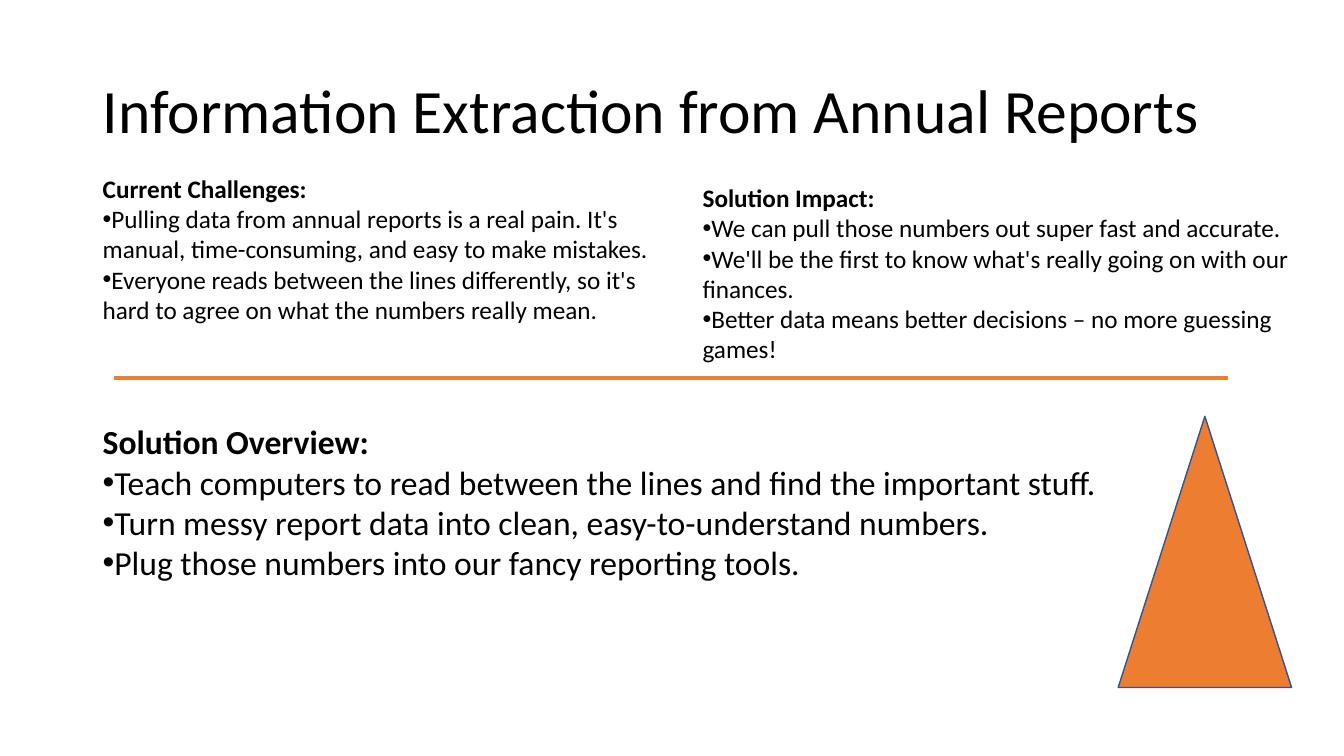
from dataclasses import dataclass

from lxml.etree import SubElement
from pptx import Presentation
from pptx.dml.color import RGBColor
from pptx.enum.shapes import MSO_CONNECTOR as Link, MSO_SHAPE as Shape
from pptx.enum.text import MSO_ANCHOR as Anchor, MSO_AUTO_SIZE as Fit
from pptx.oxml.ns import qn
from pptx.slide import Slide
from pptx.text.text import TextFrame
from pptx.util import Inches, Length, Pt

FONT = "Calibri"
BLACK = "000000"
ORANGE = "ED7D31"
NAVY = "325491"


@dataclass(frozen=True)
class Box:
    left: float
    top: float
    width: float
    height: float

    def place(self) -> tuple[Length, ...]:
        return tuple(Inches(n) for n in (self.left, self.top, self.width, self.height))


@dataclass(frozen=True)
class Section:
    box: Box
    size: int
    head: str
    points: tuple[str, ...]


TITLE = "Information Extraction from Annual Reports"
SECTIONS = (
    Section(Box(0.92, 1.67, 5.75, 1.62), 18, "Current Challenges:", (
        "Pulling data from annual reports is a real pain. It's manual, "
        "time-consuming, and easy to make mistakes.",
        "Everyone reads between the lines differently, so it's hard to agree "
        "on what the numbers really mean.",
    )),
    Section(Box(6.87, 1.76, 6.09, 1.92), 18, "Solution Impact:", (
        "We can pull those numbers out super fast and accurate.",
        "We'll be the first to know what's really going on with our finances.",
        "Better data means better decisions – no more guessing games!",
    )),
    Section(Box(0.92, 4.13, 11.9, 1.72), 24, "Solution Overview:", (
        "Teach computers to read between the lines and find the important stuff.",
        "Turn messy report data into clean, easy-to-understand numbers.",
        "Plug those numbers into our fancy reporting tools.",
    )),
)


def color(code: str) -> RGBColor:
    return RGBColor.from_string(code)


def add_frame(slide: Slide, box: Box) -> TextFrame:
    frame = slide.shapes.add_textbox(*box.place()).text_frame
    frame.word_wrap = True
    return frame


def add_line(frame: TextFrame, text: str, size: int, bold: bool = False,
             first: bool = False, bullet: bool = False) -> None:
    para = frame.paragraphs[0] if first else frame.add_paragraph()
    run = para.add_run()
    run.text = text
    run.font.name = FONT
    run.font.size = Pt(size)
    run.font.bold = bold
    run.font.color.rgb = color(BLACK)
    if bullet:
        props = para._p.get_or_add_pPr()
        props.set("marL", "0")
        props.set("indent", "0")
        SubElement(props, qn("a:buFont")).set("typeface", "Arial")
        SubElement(props, qn("a:buChar")).set("char", "•")


def add_title(slide: Slide) -> None:
    frame = add_frame(slide, Box(0.92, 0.4, 11.5, 1.45))
    frame.vertical_anchor = Anchor.MIDDLE
    add_line(frame, TITLE, 44, first=True)
    frame.paragraphs[0].line_spacing = 0.9


def add_section(slide: Slide, part: Section) -> None:
    frame = add_frame(slide, part.box)
    frame.auto_size = Fit.SHAPE_TO_FIT_TEXT
    add_line(frame, part.head, part.size, bold=True, first=True)
    for point in part.points:
        add_line(frame, point, part.size, bullet=True)


def add_rule(slide: Slide) -> None:
    level = Inches(3.75)
    rule = slide.shapes.add_connector(
        Link.STRAIGHT, Inches(1.13), level, Inches(12.18), level)
    rule.line.color.rgb = color(ORANGE)
    rule.line.width = Pt(2.25)
    SubElement(rule._element.spPr, qn("a:effectLst"))


def add_cone(slide: Slide) -> None:
    box = Box(11.09, 4.13, 1.72, 2.69)
    cone = slide.shapes.add_shape(Shape.ISOSCELES_TRIANGLE, *box.place())
    cone.shadow.inherit = False
    cone.fill.solid()
    cone.fill.fore_color.rgb = color(ORANGE)
    cone.line.color.rgb = color(NAVY)
    cone.line.width = Pt(1)


def main() -> None:
    deck = Presentation()
    deck.slide_width = Inches(13.33)
    deck.slide_height = Inches(7.5)
    slide = deck.slides.add_slide(deck.slide_layouts[6])
    add_title(slide)
    for part in SECTIONS:
        add_section(slide, part)
    add_rule(slide)
    add_cone(slide)
    deck.save("out.pptx")


if __name__ == "__main__":
    main()
